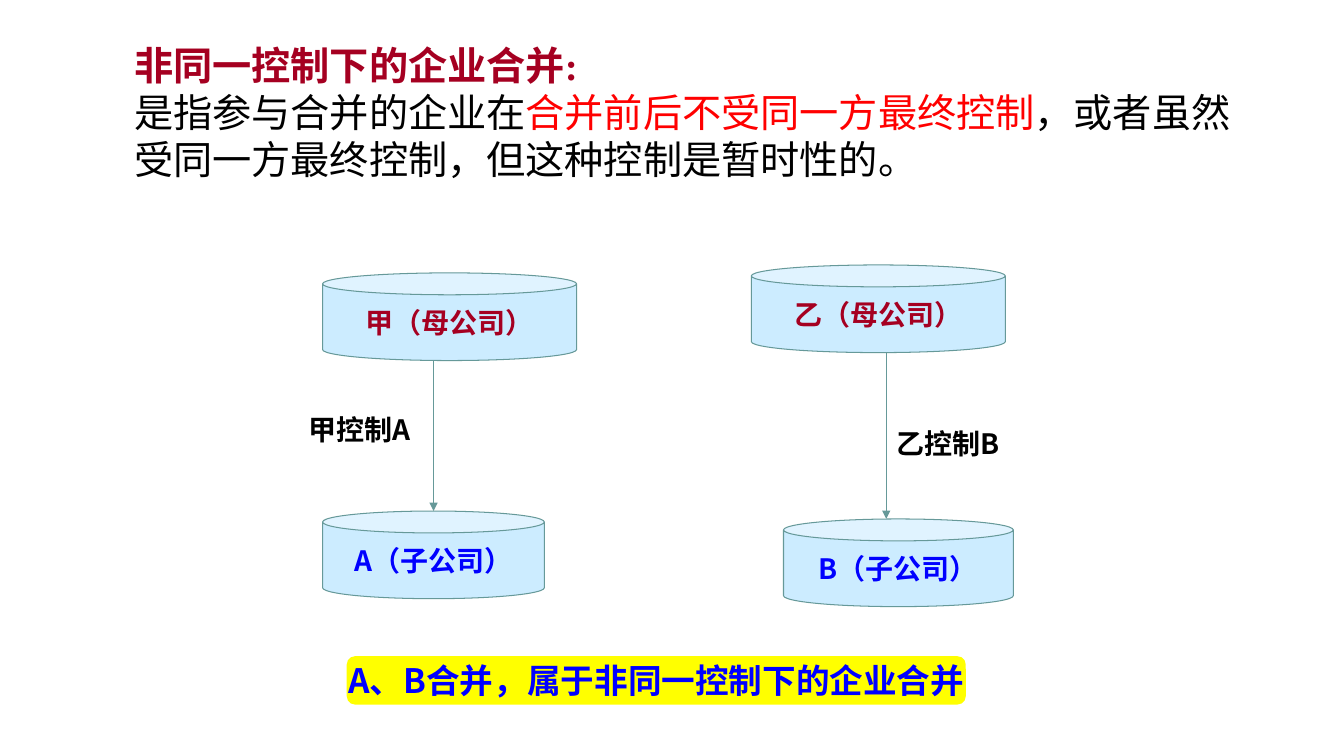
from lxml import etree
from pptx import Presentation
from pptx.dml.color import RGBColor
from pptx.enum.shapes import MSO_CONNECTOR, MSO_SHAPE
from pptx.enum.text import MSO_ANCHOR, MSO_AUTO_SIZE, PP_ALIGN
from pptx.oxml.ns import qn
from pptx.util import Inches, Pt

CAN, ROUNDED = MSO_SHAPE.CAN, MSO_SHAPE.ROUNDED_RECTANGLE
STRAIGHT = MSO_CONNECTOR.STRAIGHT
LEFT, CENTER = PP_ALIGN.LEFT, PP_ALIGN.CENTER
TOP, MIDDLE = MSO_ANCHOR.TOP, MSO_ANCHOR.MIDDLE
FIT_SHAPE, NO_FIT = MSO_AUTO_SIZE.SHAPE_TO_FIT_TEXT, MSO_AUTO_SIZE.NONE

CRIMSON = RGBColor(0xA5, 0x00, 0x21)
RED = RGBColor(0xFF, 0x00, 0x00)
BLUE = RGBColor(0x00, 0x00, 0xFF)
BLACK = RGBColor(0x00, 0x00, 0x00)
YELLOW = RGBColor(0xFF, 0xFF, 0x00)
PALE_BLUE = RGBColor(0xCC, 0xEC, 0xFF)
TEAL = RGBColor(0x66, 0x99, 0x99)

SANS, SERIF = "Noto Sans CJK SC", "Times New Roman"
WIDTH, HEIGHT = Inches(13.33), Inches(7.5)
COL, ROW = WIDTH / 100, HEIGHT / 100
CAN_ROWS = 11.6


def grid(x, y, w, h):
    return round(x * COL), round(y * ROW), round(w * COL), round(h * ROW)


def add_text(p, text, size=20, color=BLACK, bold=True, font=SANS):
    r = p.add_run()
    r.text = text
    r.font.size = Pt(size)
    r.font.bold = bold
    r.font.color.rgb = color
    r.font.name = font
    if font == SANS:
        etree.SubElement(r.font._element, qn("a:ea"), typeface=font)


def add_title(s, x, y, w, h):
    sp = s.shapes.title
    sp.left, sp.top, sp.width, sp.height = grid(x, y, w, h)
    tf = sp.text_frame
    tf.word_wrap = True
    tf.auto_size = FIT_SHAPE
    tf.vertical_anchor = TOP
    heading, definition = tf.paragraphs[0], tf.add_paragraph()
    for p in (heading, definition):
        p.alignment = LEFT
        p.line_spacing = 1.0
        p.space_before = Pt(0)
    add_text(heading, "非同一控制下的企业合并:", size=28, color=CRIMSON, font=SERIF)
    for text, color in (
        ("是指参与合并的企业在", BLACK),
        ("合并前后不受同一方最终控制", RED),
        ("，或者虽然受同一方最终控制，但这种控制是暂时性的。", BLACK),
    ):
        add_text(definition, text, size=28, color=color, bold=False)


def add_box(s, kind, x, y, w, h, text, fill, adj, line=None, **fmt):
    sp = s.shapes.add_shape(kind, *grid(x, y, w, h))
    sp.shadow.inherit = False
    sp.adjustments[0] = adj
    sp.fill.solid()
    sp.fill.fore_color.rgb = fill
    if line is None:
        sp.line.fill.background()
    else:
        sp.line.color.rgb = line
        sp.line.width = Pt(0.75)
    tf = sp.text_frame
    tf.word_wrap = False
    tf.auto_size = NO_FIT
    tf.vertical_anchor = MIDDLE
    p = tf.paragraphs[0]
    p.alignment = CENTER
    add_text(p, text, **fmt)


def add_company(s, x, y, w, text, color):
    add_box(s, CAN, x, y, w, CAN_ROWS, text, PALE_BLUE, 0.25, TEAL, color=color)


def add_label(s, x, y, text):
    tf = s.shapes.add_textbox(*grid(x, y, 23.63, 5.73)).text_frame
    tf.word_wrap = True
    tf.auto_size = FIT_SHAPE
    add_text(tf.paragraphs[0], text)


def add_arrow(s, x, top, bottom):
    begin_x, begin_y, _, length = grid(x, top, 0, bottom - top)
    cx = s.shapes.add_connector(STRAIGHT, begin_x, begin_y, begin_x, begin_y + length)
    cx.line.color.rgb = TEAL
    cx.line.width = Pt(0.75)
    etree.SubElement(cx.line._get_or_add_ln(), qn("a:tailEnd"), type="triangle")
    etree.SubElement(cx._element.spPr, qn("a:effectLst"))


def add_control(s, parent, child, arrow_x, label):
    add_company(s, *parent, CRIMSON)
    add_company(s, *child, BLUE)
    add_arrow(s, arrow_x, parent[1] + CAN_ROWS, child[1])
    add_label(s, *label)


def main():
    prs = Presentation()
    prs.slide_width, prs.slide_height = WIDTH, HEIGHT
    s = prs.slides.add_slide(prs.slide_layouts[5])
    add_title(s, 9.23, 4.8, 84.47, 20.13)
    add_control(s, (24, 36.1, 18.9, "甲（母公司）"), (24, 67.6, 16.5, "A（子公司）"),
                32.26, (22.2, 53.87, "甲控制A"))
    add_control(s, (55.9, 35.05, 18.9, "乙（母公司）"), (58.3, 68.65, 17.1, "B（子公司）"),
                65.94, (65.94, 55.73, "乙控制B"))
    add_box(s, ROUNDED, 25.8, 86.8, 46.06, 6.4, "A、B合并，属于非同一控制下的企业合并",
            YELLOW, 0.17, size=24, color=BLUE)
    prs.save("out.pptx")


if __name__ == "__main__":
    main()
